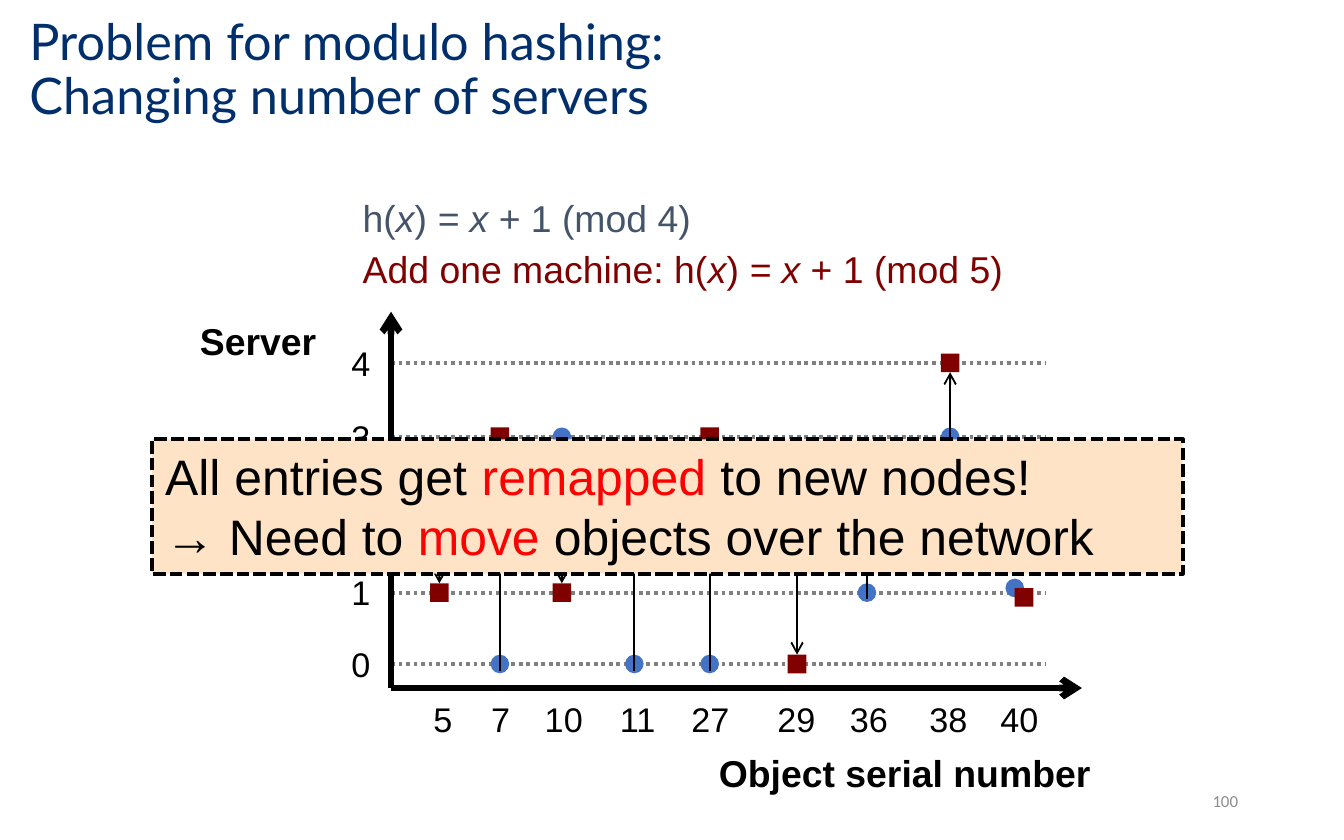
"""Build the slide on how modulo hashing remaps objects when a server is added."""
from dataclasses import dataclass

from lxml import etree
from pptx import Presentation
from pptx.dml.color import RGBColor
from pptx.enum import dml, shapes, text
from pptx.oxml import ns
from pptx.util import Pt

BLACK, GREY, BLUE, MAROON, RED = "000000", "808080", "4472C4", "800000", "FF0000"
ROWS = {0: 355.7, 1: 317.5, 2: 275.7, 3: 234, 4: 194.4}
COVERED_ROW = 2
AXIS_X, AXIS_Y = 209.5, 368.6
MARKER = 10


@dataclass
class Entry:
    serial: int
    label_x: float
    x: float
    old: int
    new: int

    @property
    def shift(self) -> float:
        return 2.5 if self.old == self.new else 0


@dataclass
class Run:
    text: str
    italic: bool = False
    color: str | None = None


ENTRIES = [
    Entry(5, 237.2, 235.4, 2, 1),
    Entry(7, 268.2, 267.8, 0, 3),
    Entry(10, 302, 301, 3, 1),
    Entry(11, 341.6, 339.8, 0, 2),
    Entry(27, 380.5, 380.2, 0, 3),
    Entry(29, 426.6, 427, 2, 0),
    Entry(36, 465.5, 464.4, 1, 2),
    Entry(38, 508, 509, 3, 4),
    Entry(40, 546.1, 546.1, 1, 1),
]


def rgb(color: str) -> RGBColor:
    return RGBColor.from_string(color)


def style(p, size: float, color: str, name: str = "Arial", bold: bool = False) -> None:
    p.font.size, p.font.name, p.font.bold = Pt(size), name, bold
    p.font.color.rgb = rgb(color)


def add_runs(p, runs: list[Run]) -> None:
    for run in runs:
        r = p.add_run()
        r.text = run.text
        if run.italic:
            r.font.italic = True
        if run.color:
            r.font.color.rgb = rgb(run.color)


def add_label(s, x, y, w, h, runs: list[Run], size=20.0, color=BLACK, bold=False,
              align=text.PP_ALIGN.LEFT, name="Arial"):
    tf = s.shapes.add_textbox(Pt(x), Pt(y), Pt(w), Pt(h)).text_frame
    tf.word_wrap = False
    p = tf.paragraphs[0]
    p.alignment = align
    style(p, size, color, name, bold)
    add_runs(p, runs)
    return tf


def add_tick(s, x: float, y: float, value: int) -> None:
    w, h = 35, 29.5
    add_label(s, x - w / 2, y - h / 2, w, h, [Run(str(value))], 18.3,
              align=text.PP_ALIGN.CENTER)


def add_line(s, x1, y1, x2, y2, width: float, color=BLACK, arrow=False, dotted=False):
    c = s.shapes.add_connector(shapes.MSO_CONNECTOR.STRAIGHT, Pt(x1), Pt(y1), Pt(x2), Pt(y2))
    c.line.width, c.line.color.rgb = Pt(width), rgb(color)
    if dotted:
        c.line.dash_style = dml.MSO_LINE.ROUND_DOT
    if arrow:
        etree.SubElement(c.line._get_or_add_ln(), ns.qn("a:tailEnd"), type="arrow")
    etree.SubElement(c._element.spPr, ns.qn("a:effectLst"))
    return c


def add_box(s, kind, x, y, w, h, fill: str):
    sp = s.shapes.add_shape(kind, Pt(x), Pt(y), Pt(w), Pt(h))
    sp.shadow.inherit = False
    sp.fill.solid()
    sp.fill.fore_color.rgb = rgb(fill)
    sp.line.fill.background()
    return sp


def add_marker(s, kind, x: float, y: float, fill: str):
    return add_box(s, kind, x - MARKER / 2, y - MARKER / 2, MARKER, MARKER, fill)


def add_title(s) -> None:
    sp = s.shapes.title
    sp.left, sp.top, sp.width, sp.height = Pt(8.6), Pt(7.2), Pt(613.4), Pt(62)
    tf = sp.text_frame
    tf.text = "Problem for modulo hashing:\vChanging number of servers"
    tf.auto_size = text.MSO_AUTO_SIZE.NONE
    tf.vertical_anchor = text.MSO_ANCHOR.MIDDLE
    p = tf.paragraphs[0]
    p.alignment, p.line_spacing = text.PP_ALIGN.LEFT, 0.9
    style(p, 27, "002F6C", "Lato")


def add_formula(s, y: float, w: float, prefix: str, servers: int, color: str) -> None:
    runs = [Run(prefix + "h("), Run("x", True), Run(")"), Run(" = x ", True),
            Run(f"+ 1 (mod {servers})")]
    add_label(s, 187.2, y, w, 31.7, runs, color=color)


def add_axes(s) -> None:
    for row, y in ROWS.items():
        if row != COVERED_ROW:
            add_line(s, AXIS_X, y, 560, y, 2, GREY, dotted=True)
            add_tick(s, 193.3, y, row)
    add_line(s, AXIS_X, AXIS_Y, 579.6, AXIS_Y, 3.5, arrow=True)
    add_line(s, AXIS_X, AXIS_Y, AXIS_X, 167, 3.5, arrow=True)
    add_label(s, 100, 167, 77, 31.7, [Run("Server")], bold=True)
    add_label(s, 378, 398.2, 215.3, 31.7, [Run("Object serial number")], bold=True)


def add_entries(s) -> None:
    for e in ENTRIES:
        add_tick(s, e.label_x, 385.5, e.serial)
        if e.old != COVERED_ROW:
            add_marker(s, shapes.MSO_SHAPE.OVAL, e.x - e.shift, ROWS[e.old] - e.shift, BLUE)
    for e in ENTRIES:
        sp = None
        if e.new != COVERED_ROW:
            sp = add_marker(s, shapes.MSO_SHAPE.RECTANGLE, e.x + e.shift,
                            ROWS[e.new] + e.shift, MAROON)
        if e.old == e.new:
            continue
        up = e.new > e.old
        start = ROWS[e.old] + (3.6 if up else 13.7)
        end = ROWS[e.new] + (MARKER / 2 if up else -MARKER / 2)
        c = add_line(s, e.x, start, e.x, end, 1, arrow=True)
        if sp is not None:
            c.end_connect(sp, 2 if up else 0)


def add_callout(s) -> None:
    sp = add_box(s, shapes.MSO_SHAPE.RECTANGLE, 81.4, 235.4, 552.2, 72, "FFE3C7")
    sp.line.color.rgb, sp.line.width = rgb(BLACK), Pt(2.25)
    sp.line.dash_style = dml.MSO_LINE.SQUARE_DOT
    tf = sp.text_frame
    tf.word_wrap, tf.vertical_anchor = True, text.MSO_ANCHOR.TOP
    lines = [("All entries get ", "remapped ", "to new nodes!"),
             ("→ Need to ", "move ", "objects over the network")]
    for i, (before, key, after) in enumerate(lines):
        p = tf.add_paragraph() if i else tf.paragraphs[0]
        p.alignment = text.PP_ALIGN.LEFT
        style(p, 26.7, BLACK)
        add_runs(p, [Run(before, color=BLACK), Run(key, color=RED), Run(after, color=BLACK)])


def main() -> None:
    prs = Presentation()
    prs.slide_width, prs.slide_height = Pt(720), Pt(450)
    s = prs.slides.add_slide(prs.slide_layouts[5])
    add_title(s)
    add_formula(s, 100.8, 191.5, "", 4, "44546A")
    add_formula(s, 128.2, 359.3, "Add one machine: ", 5, MAROON)
    add_axes(s)
    add_entries(s)
    add_callout(s)
    tf = add_label(s, 508.3, 416.9, 162, 23.8, [Run("100")], 9, "8C8C8C",
                   align=text.PP_ALIGN.RIGHT, name="Calibri")
    tf.word_wrap, tf.vertical_anchor = True, text.MSO_ANCHOR.MIDDLE
    prs.save("out.pptx")


if __name__ == "__main__":
    main()
